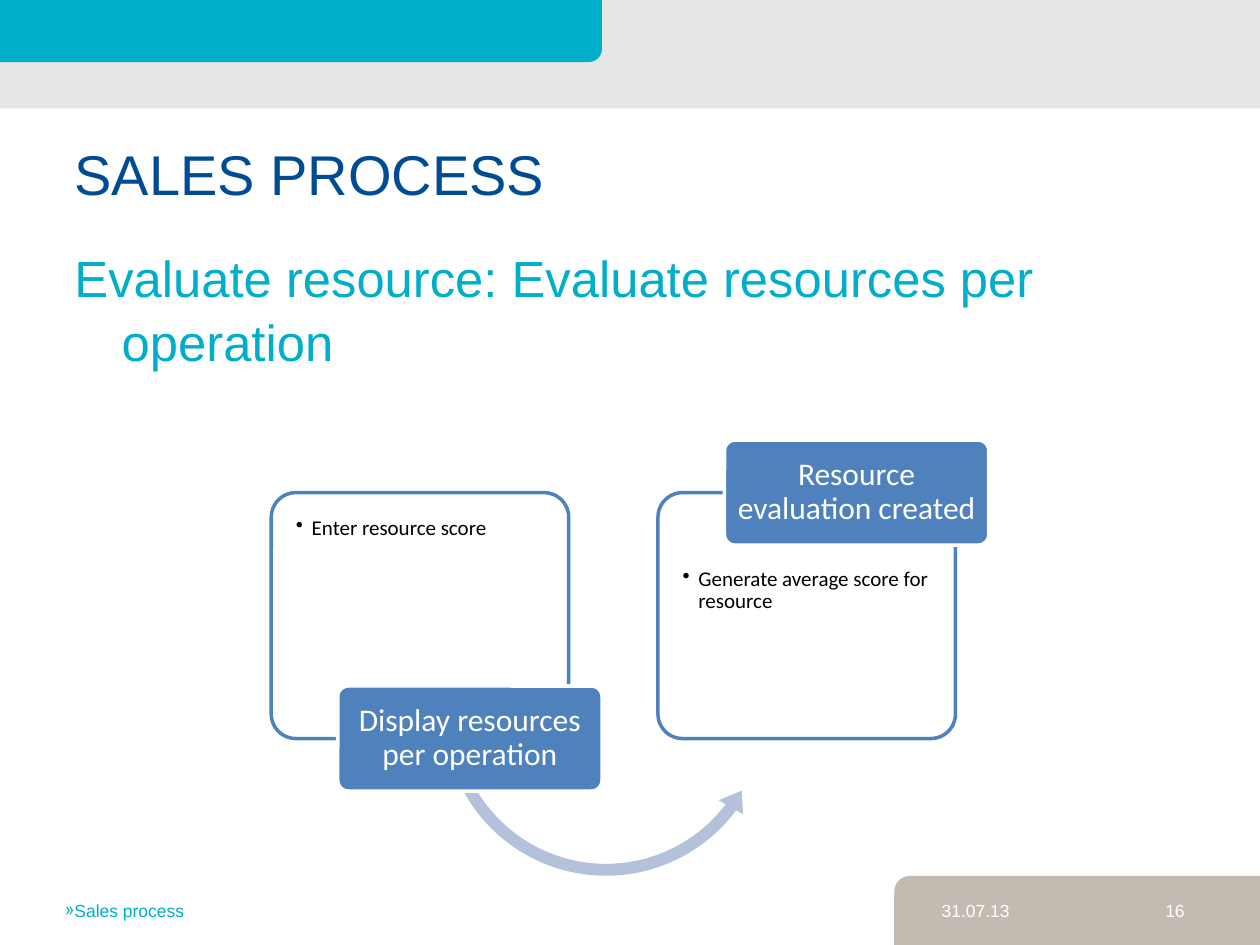
from lxml.etree import SubElement
from pptx import Presentation
from pptx.dml.color import RGBColor
from pptx.enum.shapes import MSO_SHAPE
from pptx.enum.text import MSO_ANCHOR, PP_ALIGN
from pptx.oxml.ns import qn
from pptx.util import Pt

WHITE = RGBColor(0xFF, 0xFF, 0xFF)
BLACK = RGBColor(0x00, 0x00, 0x00)
GREY = RGBColor(0xE6, 0xE6, 0xE6)
TAUPE = RGBColor(0xC3, 0xBB, 0xB2)
TEAL = RGBColor(0x00, 0xAE, 0xCA)
NAVY = RGBColor(0x00, 0x4C, 0x93)
BLUE = RGBColor(0x4F, 0x81, 0xBD)
PALE = RGBColor(0xB3, 0xC1, 0xDB)


def block(slide, kind, box, fill, line=None, adjust=(), alpha=None):
    shape = slide.shapes.add_shape(kind, *map(Pt, box))
    shape.shadow.inherit = False
    shape.fill.solid()
    shape.fill.fore_color.rgb = fill
    if alpha:
        tint = shape.fill._xPr.find(qn("a:solidFill"))[0]
        SubElement(tint, qn("a:alpha"), val=str(alpha * 1000))
    if line is None:
        shape.line.fill.background()
    else:
        shape.line.color.rgb = line
        shape.line.width = Pt(2)
    for spot, value in enumerate(adjust):
        shape.adjustments[spot] = value
    return shape


def write(shape, words, size, color, font="Arial", align=PP_ALIGN.LEFT,
          anchor=MSO_ANCHOR.TOP, inset=(7.2, 3.6, 7.2, 3.6), space=None,
          before=None, margin=0, indent=0, bullet=None):
    frame = shape.text_frame
    frame.word_wrap = True
    frame.vertical_anchor = anchor
    (frame.margin_left, frame.margin_top,
     frame.margin_right, frame.margin_bottom) = map(Pt, inset)
    para = frame.paragraphs[0]
    para.alignment = align
    if space:
        para.line_spacing = space
    if before:
        para.space_before = Pt(before)
    props = para._p.get_or_add_pPr()
    props.set("marL", str(Pt(margin)))
    props.set("indent", str(Pt(indent)))
    if bullet:
        SubElement(props, qn("a:buChar"), char=bullet)
    run = para.add_run()
    run.text = words
    run.font.size = Pt(size)
    run.font.name = font
    run.font.color.rgb = color


def label(slide, box, words, size, color, **style):
    write(slide.shapes.add_textbox(*map(Pt, box)), words, size, color, **style)


def frame(slide, width, height):
    block(slide, MSO_SHAPE.ROUNDED_RECTANGLE, (511, 500.5, 228, 53.5), TAUPE)
    block(slide, MSO_SHAPE.RECTANGLE, (0, 0, width, 62), GREY)
    block(slide, MSO_SHAPE.ROUNDED_RECTANGLE, (-22, -10, 366, 45.5), TEAL)


def card(slide, box, words, top):
    shape = block(slide, MSO_SHAPE.ROUNDED_RECTANGLE, box, WHITE, BLUE, [0.1], 90)
    write(shape, words, 12, BLACK, font="Calibri", inset=(10, top, 10, 10),
          space=0.9, margin=9, indent=-9, bullet="•")


def badge(slide, box, edge, words):
    left = box[0] + 38
    shape = block(slide, MSO_SHAPE.ROUNDED_RECTANGLE, (left, edge - 30, 151, 60),
                  BLUE, WHITE, [0.1])
    write(shape, words, 18, WHITE, font="Calibri", align=PP_ALIGN.CENTER,
          anchor=MSO_ANCHOR.MIDDLE, inset=(3, 2, 3, 2), space=0.9)


def flow(slide, box):
    left, top, width, height = box
    wide = 170
    first = (left, top, wide, height)
    last = (left + width - wide, top, wide, height)
    card(slide, first, "Enter resource score", 10)
    block(slide, MSO_SHAPE.LEFT_CIRCULAR_ARROW, (left + 94, top + 29, 194.5, 194.5),
          PALE, adjust=[0.035, 4.347, 22.102, 90.245, 0.041])
    badge(slide, first, top + height, "Display resources per operation")
    card(slide, last, "Generate average score for resource", 39)
    badge(slide, last, top, "Resource evaluation created")


def footer(slide, top):
    label(slide, (30, top, 169, 29), "Sales process", 10, TEAL,
          indent=-13, bullet="»")
    label(slide, (531, top, 121, 29), "31.07.13", 10, WHITE)
    label(slide, (641.5, top, 42.5, 29), "16", 10, WHITE, align=PP_ALIGN.RIGHT)


def main():
    deck = Presentation()
    deck.slide_width, deck.slide_height = Pt(720), Pt(540)
    slide = deck.slides.add_slide(deck.slide_layouts[6])
    frame(slide, 720, 540)
    label(slide, (35.5, 76, 648, 60), "SALES PROCESS", 32, NAVY)
    flow(slide, (155, 281.5, 391, 140.5))
    label(slide, (35.5, 136, 664, 72),
          "Evaluate resource: Evaluate resources per operation", 29, TEAL,
          space=1.05, before=2, margin=27, indent=-27)
    footer(slide, 511)
    deck.save("out.pptx")


if __name__ == "__main__":
    main()
